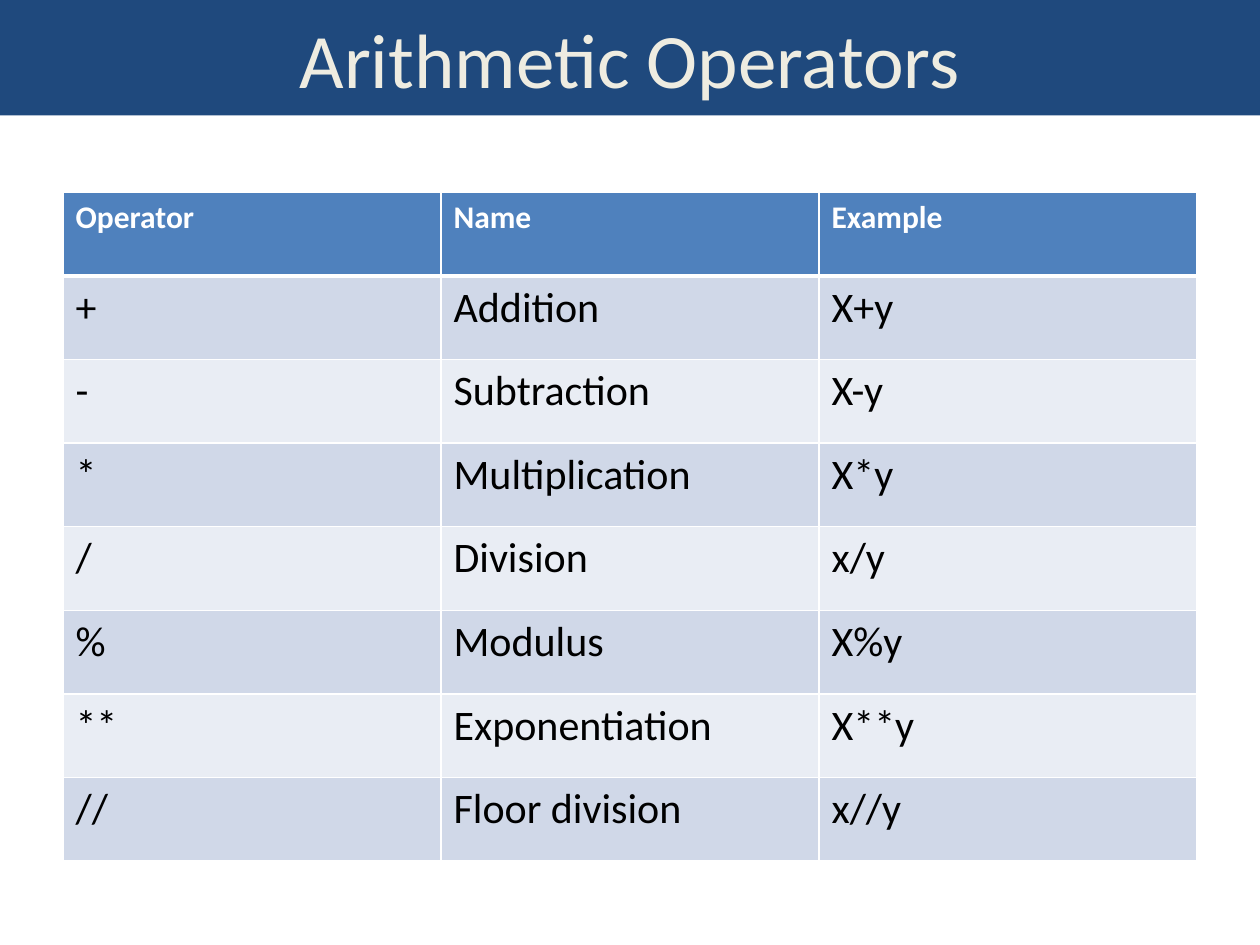
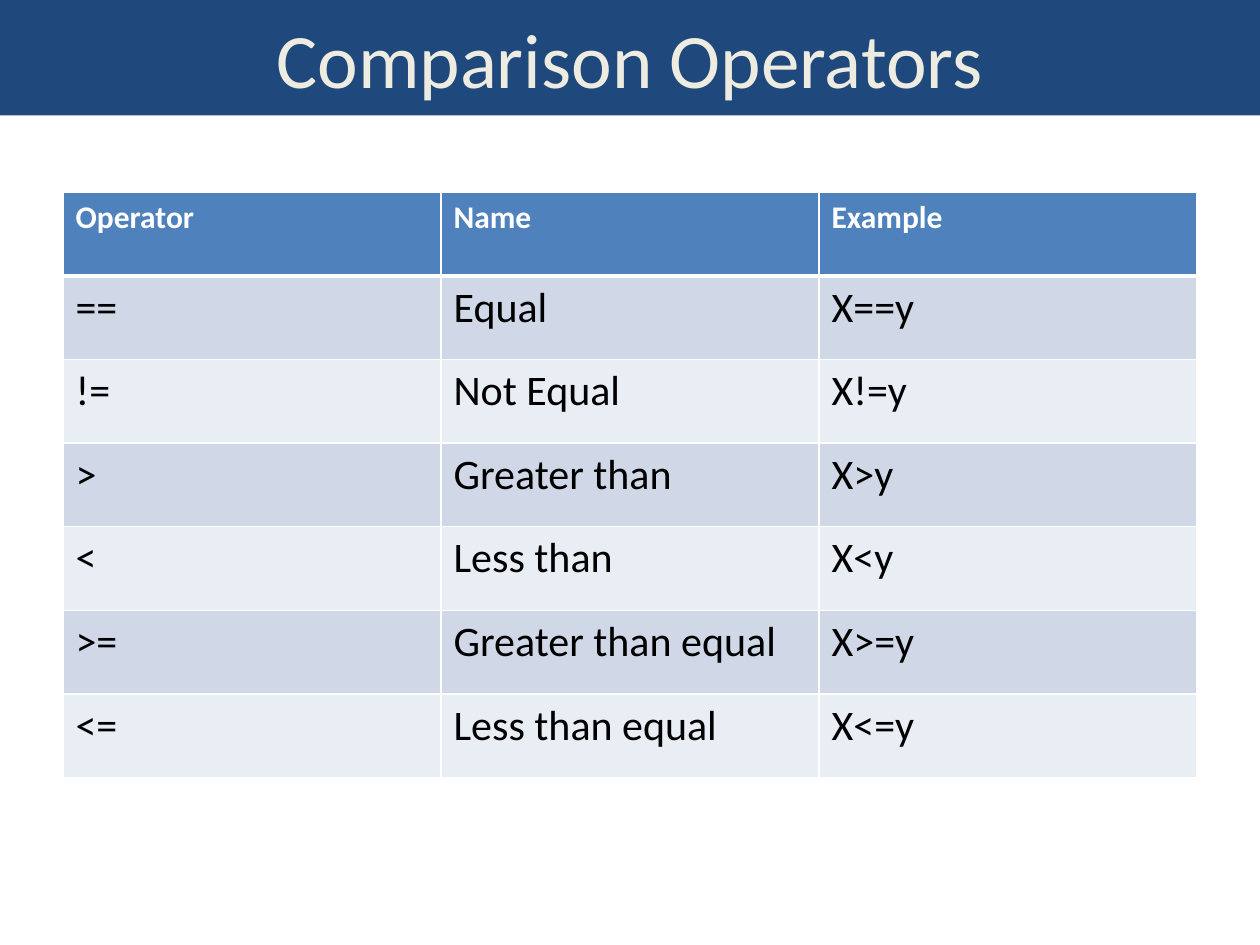
"""Builds two slides of operator tables under a shared title band."""
from lxml.etree import SubElement
from pptx import Presentation
from pptx.dml.color import RGBColor
from pptx.enum.text import MSO_ANCHOR, MSO_AUTO_SIZE, PP_ALIGN
from pptx.oxml.ns import qn
from pptx.util import Inches, Pt

NAVY = RGBColor(0x1F, 0x49, 0x7D)
CREAM = RGBColor(0xEE, 0xEC, 0xE1)
BLUE = RGBColor(0x4F, 0x81, 0xBD)
WHITE = RGBColor(0xFF, 0xFF, 0xFF)
BLACK = RGBColor(0x00, 0x00, 0x00)
BANDS = (RGBColor(0xE9, 0xED, 0xF4), RGBColor(0xD0, 0xD8, 0xE8))

FONT = "Calibri"
GRID_COLUMNS = 20
GRID_ROWS = 11.3
BAND_ROWS = 1.38
TABLE_TOP = 2.3
TABLE_LEFT = 1
CELL_COLUMNS = 6
THIN, THICK = 1, 3
TITLE_ONLY = 5

HEADER = ("Operator", "Name", "Example")
ARITHMETIC = (
    ("+", "Addition", "X+y"),
    ("-", "Subtraction", "X-y"),
    ("*", "Multiplication", "X*y"),
    ("/", "Division", "x/y"),
    ("%", "Modulus", "X%y"),
    ("**", "Exponentiation", "X**y"),
    ("//", "Floor division", "x//y"),
)
COMPARISON = (
    ("==", "Equal", "X==y"),
    ("!=", "Not Equal", "X!=y"),
    (">", "Greater than", "X>y"),
    ("<", "Less than", "X<y"),
    (">=", "Greater than equal", "X>=y"),
    ("<=", "Less than equal", "X<=y"),
)


def write_text(text_frame, text, size=24, color=BLACK, bold=False, align=PP_ALIGN.LEFT):
    """Write one formatted paragraph into a text frame."""
    paragraph = text_frame.paragraphs[0]
    paragraph.alignment = align
    run = paragraph.add_run()
    run.text = text
    run.font.name = FONT
    run.font.size = Pt(size)
    run.font.bold = bold
    run.font.color.rgb = color


def set_borders(cell, top, bottom):
    """Draw white borders round a cell, with the given top and bottom widths."""
    properties = cell._tc.get_or_add_tcPr()
    widths = {"a:lnL": THIN, "a:lnR": THIN, "a:lnT": top, "a:lnB": bottom}
    for side, width in widths.items():
        line = SubElement(properties, qn(side), w=str(Pt(width)))
        fill = SubElement(line, qn("a:solidFill"))
        SubElement(fill, qn("a:srgbClr"), val=str(WHITE))


class OperatorDeck:
    """Holds the presentation, its grid and the current slide."""

    def __init__(self):
        """Start an empty presentation with a 4:3 page."""
        self.presentation = Presentation()
        self.presentation.slide_width = Inches(10)
        self.presentation.slide_height = Inches(7.5)
        self.slide = None

    def columns(self, count):
        """Return the width of a number of grid columns."""
        return int(self.presentation.slide_width * count / GRID_COLUMNS)

    def rows(self, count):
        """Return the height of a number of grid rows."""
        return int(self.presentation.slide_height * count / GRID_ROWS)

    def add_slide(self, title):
        """Add a slide whose title fills the band across the top."""
        layout = self.presentation.slide_layouts[TITLE_ONLY]
        self.slide = self.presentation.slides.add_slide(layout)
        shape = self.slide.shapes.title
        shape.left, shape.top = 0, 0
        shape.width, shape.height = self.columns(GRID_COLUMNS), self.rows(BAND_ROWS)
        shape.fill.solid()
        shape.fill.fore_color.rgb = NAVY
        shape.text_frame.auto_size = MSO_AUTO_SIZE.NONE
        shape.text_frame.vertical_anchor = MSO_ANCHOR.MIDDLE
        write_text(shape.text_frame, title, size=44, color=CREAM, align=PP_ALIGN.CENTER)

    def add_table(self, operators):
        """Add a banded table of operators below the title."""
        records = (HEADER, *operators)
        table = self.slide.shapes.add_table(
            len(records), len(HEADER),
            self.columns(TABLE_LEFT), self.rows(TABLE_TOP),
            self.columns(CELL_COLUMNS * len(HEADER)), self.rows(len(records)),
        ).table
        for row_index, record in enumerate(records):
            for column_index, text in enumerate(record):
                self.fill_cell(table.cell(row_index, column_index), text, row_index)

    def fill_cell(self, cell, text, row_index):
        """Format one cell according to its row."""
        is_header = row_index == 0
        set_borders(
            cell,
            top=THICK if row_index == 1 else THIN,
            bottom=THICK if is_header else THIN,
        )
        cell.fill.solid()
        cell.fill.fore_color.rgb = BLUE if is_header else BANDS[row_index % 2]
        if is_header:
            write_text(cell.text_frame, text, size=18, color=WHITE, bold=True)
        else:
            write_text(cell.text_frame, text)


def main():
    """Build and save both slides."""
    deck = OperatorDeck()
    for title, operators in (
        ("Arithmetic Operators", ARITHMETIC),
        ("Comparison Operators", COMPARISON),
    ):
        deck.add_slide(title)
        deck.add_table(operators)
    deck.presentation.save("out.pptx")


if __name__ == "__main__":
    main()
